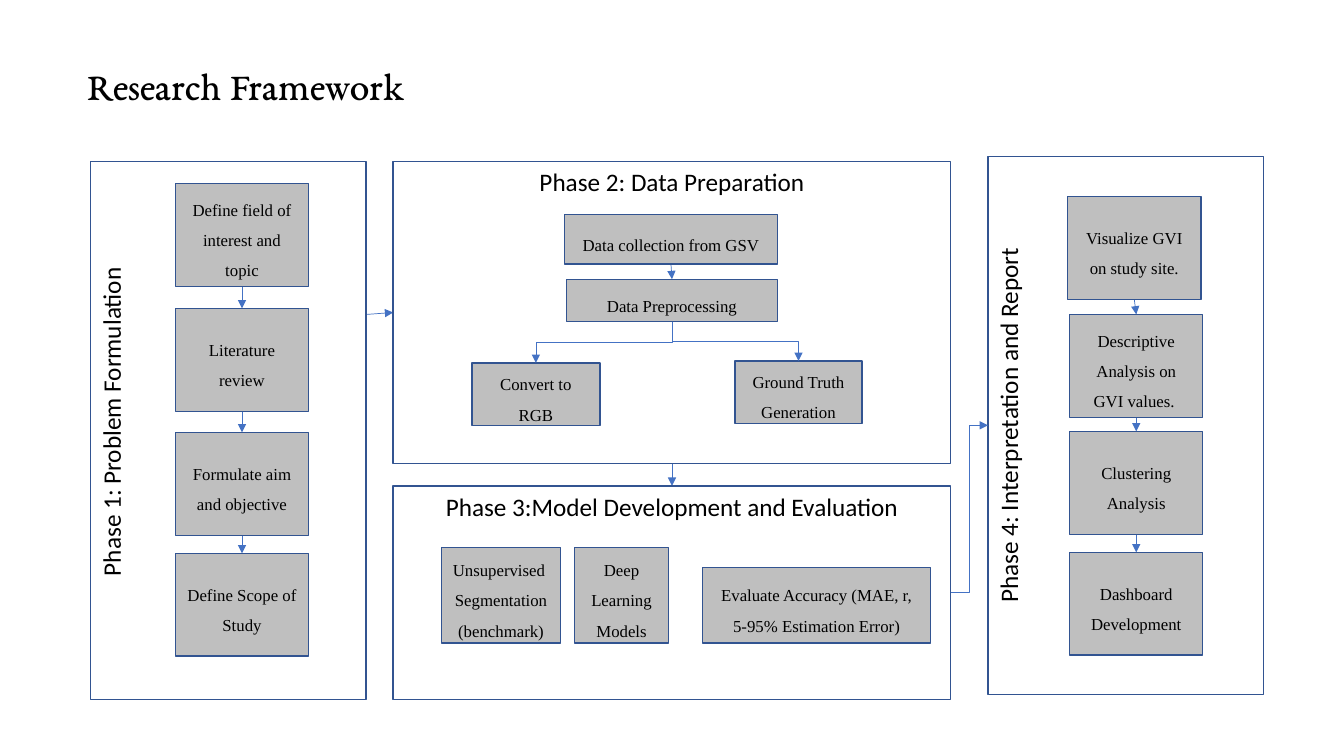
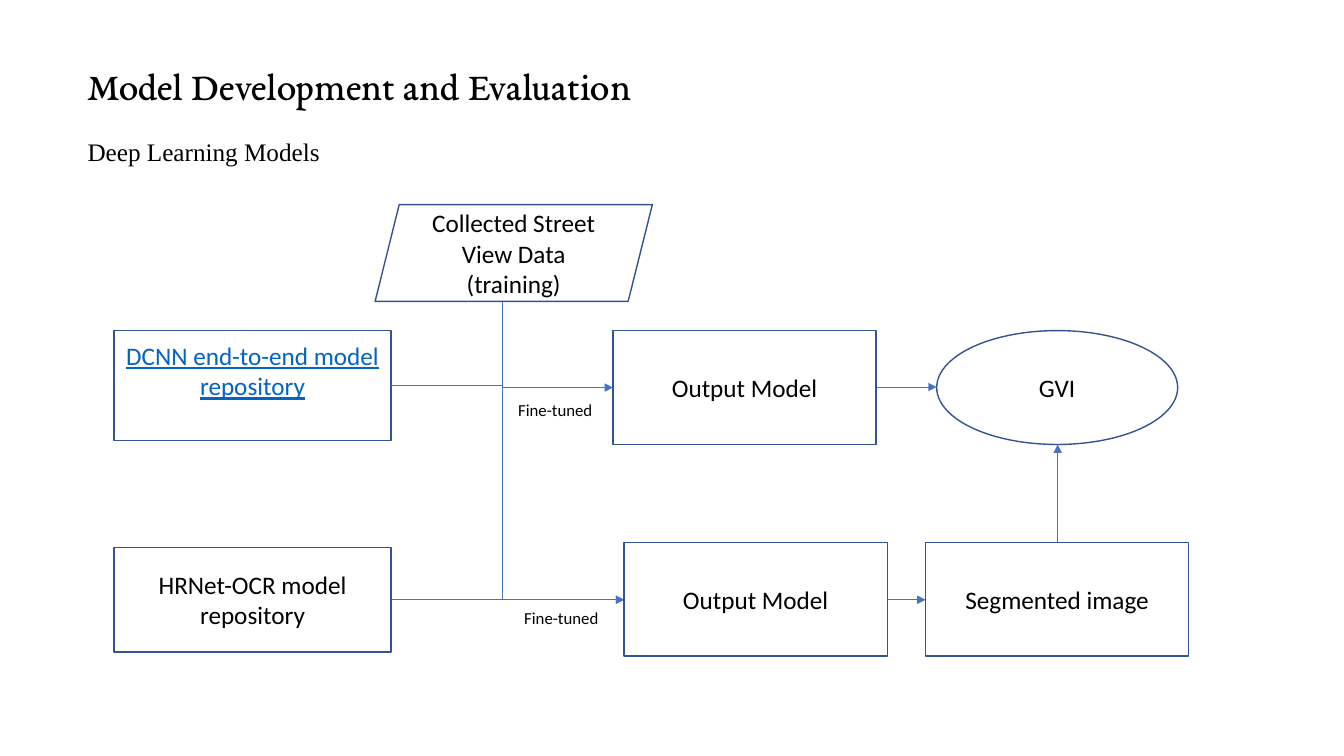
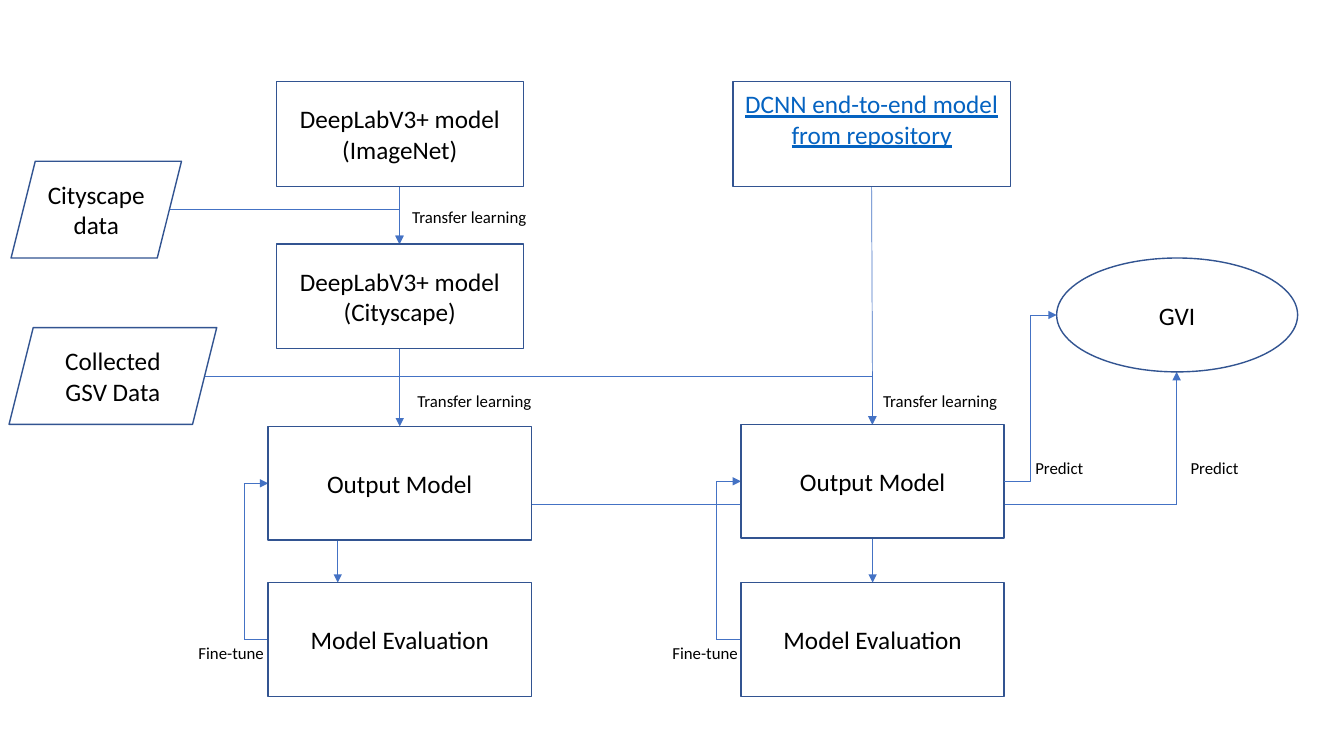
from dataclasses import dataclass
from itertools import pairwise
from typing import Any, NamedTuple

from lxml.etree import SubElement
from pptx import Presentation
from pptx.dml.color import RGBColor
from pptx.enum.shapes import MSO_CONNECTOR as Connector, MSO_SHAPE as Preset
from pptx.enum.text import MSO_ANCHOR as Anchor, MSO_AUTO_SIZE as AutoSize, PP_ALIGN as Align
from pptx.oxml.ns import qn
from pptx.util import Inches, Pt

COLORS = {
    "text": "000000",
    "link": "0563C1",
    "outline": "325491",
    "arrow": "4472C4",
    "step": "BFBFBF",
    "white": "FFFFFF",
}
TITLE_ONLY, BLANK = 5, 6
TOP, LEFT, BOTTOM, RIGHT = range(4)
OVAL_LEFT = 2
STEP_WIDTH, STEP_HEIGHT = 1.32, 1.02
MODEL_WIDTH, MODEL_HEIGHT = 2.61, 1.13
Point = tuple[float, float]


class TextStyle(NamedTuple):
    size: float
    font: str = "Calibri"
    color: str = "text"
    underline: bool = False
    spacing: float = 1.0
    align: Align = Align.CENTER


TITLE = TextStyle(28, "EB Garamond", align=Align.LEFT)
SUBTITLE = TextStyle(18, "Times New Roman", align=Align.LEFT)
STEP = TextStyle(12, "Times New Roman", spacing=1.5)
BODY = TextStyle(18)
LINK = TextStyle(18, color="link", underline=True)
CAPTION = TextStyle(12, align=Align.LEFT)


@dataclass(frozen=True)
class Box:
    text: str
    left: float
    top: float
    width: float = MODEL_WIDTH
    height: float = MODEL_HEIGHT
    style: TextStyle = BODY
    preset: Preset = Preset.RECTANGLE
    fill: str | None = None
    anchor: Anchor = Anchor.MIDDLE
    bottom_inset: float = 0.05
    vertical: bool = False
    indent: float = 0

    @property
    def center(self) -> float:
        return self.left + self.width / 2

    @property
    def middle(self) -> float:
        return self.top + self.height / 2

    @property
    def bottom(self) -> float:
        return self.top + self.height


@dataclass(frozen=True)
class Label:
    text: str
    left: float
    top: float
    width: float = 1.45
    height: float = 0.3
    style: TextStyle = CAPTION


@dataclass(frozen=True)
class Route:
    points: tuple[Point, ...]


@dataclass(frozen=True)
class Elbow:
    begin: Box
    end: Box
    downward: bool = False


def apply(target: Any, values: dict[str, Any]) -> None:
    for name, value in values.items():
        setattr(target, name, value)


def color(name: str) -> RGBColor:
    return RGBColor.from_string(COLORS[name])


def write(frame: Any, text: str, style: TextStyle) -> None:
    frame.text = text
    for paragraph in frame.paragraphs:
        apply(paragraph, {"alignment": style.align, "line_spacing": style.spacing})
        for run in paragraph.runs:
            apply(run.font, {
                "size": Pt(style.size), "name": style.font,
                "bold": False, "underline": style.underline,
            })
            run.font.color.rgb = color(style.color)


def draw_box(slide: Any, box: Box) -> Any:
    shape = slide.shapes.add_shape(
        box.preset, *map(Inches, (box.left, box.top, box.width, box.height)))
    shape.shadow.inherit = False
    if box.fill:
        shape.fill.solid()
        shape.fill.fore_color.rgb = color(box.fill)
    else:
        shape.fill.background()
    shape.line.color.rgb = color("outline")
    shape.line.width = Pt(1)
    frame = shape.text_frame
    apply(frame, {
        "word_wrap": True,
        "vertical_anchor": box.anchor,
        "margin_bottom": Inches(box.bottom_inset),
    })
    write(frame, box.text, box.style)
    if box.vertical:
        frame._txBody.bodyPr.set("vert", "vert270")
    if box.indent:
        properties = frame.paragraphs[0]._p.get_or_add_pPr()
        properties.set("marL", str(Inches(box.indent)))
        properties.set("indent", "0")
    return shape


def draw_label(slide: Any, label: Label) -> None:
    shape = slide.shapes.add_textbox(
        *map(Inches, (label.left, label.top, label.width, label.height)))
    apply(shape.text_frame, {"word_wrap": True, "auto_size": AutoSize.SHAPE_TO_FIT_TEXT})
    write(shape.text_frame, label.text, label.style)


def add_line(slide: Any, kind: Connector, begin: Point, end: Point, arrow: bool) -> Any:
    line = slide.shapes.add_connector(kind, *map(Inches, (*begin, *end)))
    line.line.color.rgb = color("arrow")
    line.line.width = Pt(0.5)
    SubElement(line._element.spPr, qn("a:effectLst"))
    if arrow:
        SubElement(line.line._get_or_add_ln(), qn("a:tailEnd"), type="triangle")
    return line


def draw_route(slide: Any, route: Route) -> None:
    for begin, end in pairwise(route.points):
        add_line(slide, Connector.STRAIGHT, begin, end, end == route.points[-1])


def draw_elbow(slide: Any, elbow: Elbow, shapes: dict[Box, Any]) -> None:
    begin, end = elbow.begin, elbow.end
    if elbow.downward:
        start, finish = (begin.center, begin.bottom), (end.center, end.top)
        start_site, finish_site = BOTTOM, TOP
    else:
        start = (begin.left + begin.width, begin.middle)
        finish = (end.left, end.middle)
        start_site = RIGHT
        finish_site = OVAL_LEFT if end.preset == Preset.OVAL else LEFT
    line = add_line(slide, Connector.ELBOW, start, finish, True)
    line.begin_connect(shapes[begin], start_site)
    line.end_connect(shapes[end], finish_site)
    apply(line, {"end_x": Inches(finish[0]), "end_y": Inches(finish[1])})
    if elbow.downward:
        across, drop = finish[0] - start[0], finish[1] - start[1]
        apply(line, {
            "left": Inches((start[0] + finish[0] - drop) / 2),
            "top": Inches((start[1] + finish[1] - abs(across)) / 2),
            "width": Inches(drop),
            "height": Inches(abs(across)),
        })
        apply(line._element.spPr.xfrm, {
            "rot": 270 if across > 0 else 90, "flipH": across > 0, "flipV": False,
        })


def draw_all(slide: Any, routes: list[Route], boxes: list[Box],
             labels: list[Label], elbows: list[Elbow]) -> None:
    for route in routes:
        draw_route(slide, route)
    shapes = {box: draw_box(slide, box) for box in boxes}
    for elbow in elbows:
        draw_elbow(slide, elbow, shapes)
    for label in labels:
        draw_label(slide, label)


def add_titled_slide(presentation: Any, text: str) -> Any:
    slide = presentation.slides.add_slide(presentation.slide_layouts[TITLE_ONLY])
    title = slide.shapes.title
    apply(title, {
        "left": Inches(0.77), "top": Inches(0.56),
        "width": Inches(8.67), "height": Inches(0.57),
    })
    apply(title.text_frame, {
        "word_wrap": True, "vertical_anchor": Anchor.TOP, "auto_size": AutoSize.NONE,
    })
    write(title.text_frame, text, TITLE)
    return slide


def step(text: str, left: float, top: float,
         width: float = STEP_WIDTH, height: float = STEP_HEIGHT) -> Box:
    return Box(text, left, top, width, height, STEP, fill="step")


def phase(text: str, left: float, top: float, width: float, height: float,
          vertical: bool = False, indent: float = 0) -> Box:
    return Box(text, left, top, width, height,
               anchor=Anchor.TOP, vertical=vertical, indent=indent)


def link(text: str, left: float, top: float, height: float) -> Box:
    return Box(text, left, top, 2.75, height, LINK, bottom_inset=0.35)


def down(upper: Box, lower: Box) -> Route:
    return Route(((upper.center, upper.bottom), (lower.center, lower.top)))


def build_framework(presentation: Any) -> None:
    slide = add_titled_slide(presentation, "Research Framework")
    formulation = [step(text, 1.74, top) for text, top in (
        ("Define field of interest and topic", 1.82),
        ("Literature review", 3.06),
        ("Formulate aim and objective", 4.29),
        ("Define Scope of Study", 5.49),
    )]
    reporting = [step(text, left, top) for text, left, top in (
        ("Visualize GVI on study site.", 10.59, 1.95),
        ("Descriptive Analysis on GVI values. ", 10.61, 3.12),
        ("Clustering Analysis", 10.61, 4.28),
        ("Dashboard Development", 10.61, 5.48),
    )]
    collection = step("Data collection from GSV", 5.6, 2.13, 2.11, 0.49)
    preprocessing = step("Data Preprocessing", 5.62, 2.77, 2.09, 0.42)
    preparations = [
        step("Convert to RGB", 4.68, 3.6, 1.27, 0.62),
        step("Ground Truth Generation", 7.29, 3.58, 1.26, 0.62),
    ]
    models = [
        step("Unsupervised  Segmentation\n(benchmark)", 4.38, 5.43, 1.18, 0.95),
        step("Deep Learning Models", 5.7, 5.43, 0.93, 0.95),
        step("Evaluate Accuracy (MAE, r, 5-95% Estimation Error)", 6.97, 5.63, 2.26, 0.75),
    ]
    problem = phase("Phase 1: Problem Formulation", 0.9, 1.6, 2.73, 5.34, True, 0.17)
    preparation = phase("Phase 2: Data Preparation", 3.9, 1.6, 5.53, 3)
    development = phase("Phase 3:Model Development and Evaluation", 3.9, 4.82, 5.53, 2.12)
    report = phase("Phase 4: Interpretation and Report", 9.8, 1.55, 2.73, 5.34, True)
    routes = [
        down(upper, lower)
        for column in (formulation, reporting, [collection, preprocessing],
                       [preparation, development])
        for upper, lower in pairwise(column)
    ]
    routes.append(Route(((3.63, 3.12), (3.9, 3.1))))
    elbows = [Elbow(preprocessing, box, True) for box in preparations]
    elbows.append(Elbow(development, report))
    boxes = [problem, preparation, development, report, *formulation, collection,
             preprocessing, *preparations, *models, *reporting]
    draw_all(slide, routes, boxes, [], elbows)


def build_development(presentation: Any) -> None:
    slide = add_titled_slide(presentation, "Model Development and Evaluation")
    repository = link("DCNN end-to-end model repository", 1.13, 3.28, 1.09)
    output = Box("Output Model", 6.08, 3.28)
    boxes = [
        repository,
        Box("HRNet-OCR model repository", 1.13, 5.43, 2.75, 1.04),
        Box("Collected Street View Data (training)", 3.72, 2.03, 2.75, 0.96,
            preset=Preset.PARALLELOGRAM),
        output,
        Box("Output Model", 6.19, 5.38),
        Box("GVI", 9.29, 3.28, 2.39, preset=Preset.OVAL),
        Box("Segmented image", 9.18, 5.38),
    ]
    routes = [Route(points) for points in (
        ((3.88, 5.95), (6.19, 5.95)),
        ((4.98, 2.99), (4.98, 5.95), (6.19, 5.95)),
        ((8.69, 3.84), (9.29, 3.84)),
        ((8.8, 5.95), (9.18, 5.95)),
        ((10.49, 5.38), (10.49, 4.41)),
    )]
    labels = [
        Label("Deep Learning Models", 0.77, 1.3, 4.89, 0.4, SUBTITLE),
        Label("Fine-tuned", 5.1, 5.98),
        Label("Fine-tuned", 5.04, 3.92),
    ]
    draw_all(slide, routes, boxes, labels, [Elbow(repository, output)])


def build_training(presentation: Any) -> None:
    slide = presentation.slides.add_slide(presentation.slide_layouts[BLANK])
    pretrained = Box("DeepLabV3+ model\n(ImageNet)", 2.74, 0.81, 2.45, 1.04)
    transferred = Box("DeepLabV3+ model\n(Cityscape)", 2.74, 2.42, 2.45, 1.04)
    repository = link("DCNN end-to-end model from repository", 7.27, 0.81, 1.04)
    outputs = [
        Box("Output Model", 2.66, 4.23),
        Box("Output Model", 7.35, 4.21, fill="white"),
    ]
    evaluations = [Box("Model Evaluation", output.left, 5.78) for output in outputs]
    index = Box("GVI", 10.48, 2.56, 2.39, preset=Preset.OVAL)
    boxes = [
        pretrained, transferred, repository, *outputs, *evaluations, index,
        Box("Cityscape data", 0.11, 1.6, 1.69, 0.96, preset=Preset.PARALLELOGRAM),
        Box("Collected GSV Data", 0.09, 3.25, 2.06, 0.96, preset=Preset.PARALLELOGRAM),
    ]
    routes = [
        down(pretrained, transferred),
        down(transferred, outputs[0]),
        down(repository, outputs[1]),
        down(outputs[1], evaluations[1]),
    ]
    routes += [Route(points) for points in (
        ((1.68, 2.08), (3.96, 2.08), (3.96, 2.42)),
        ((2.03, 3.73), (8.65, 3.73), (8.65, 4.21)),
        ((5.27, 5), (11.67, 5), (11.67, 3.69)),
        ((3.35, 5.36), (3.35, 5.78)),
    )]
    for output, evaluation in zip(outputs, evaluations):
        side = output.left - 0.24
        routes.append(Route((
            (evaluation.left, evaluation.middle), (side, evaluation.middle),
            (side, output.middle), (output.left, output.middle))))
    labels = [Label("Transfer learning", left, top)
              for left, top in ((3.99, 2), (4.04, 3.83), (8.66, 3.83))]
    labels += [Label("Predict", left, 4.49, 0.85) for left in (10.17, 11.71)]
    labels += [Label("Fine-tune", left, 6.33, 0.86) for left in (1.87, 6.57)]
    draw_all(slide, routes, boxes, labels, [Elbow(outputs[1], index)])


def main() -> None:
    presentation = Presentation()
    apply(presentation, {"slide_width": Inches(13.33), "slide_height": Inches(7.5)})
    for build in (build_framework, build_development, build_training):
        build(presentation)
    presentation.save("out.pptx")


if __name__ == "__main__":
    main()
